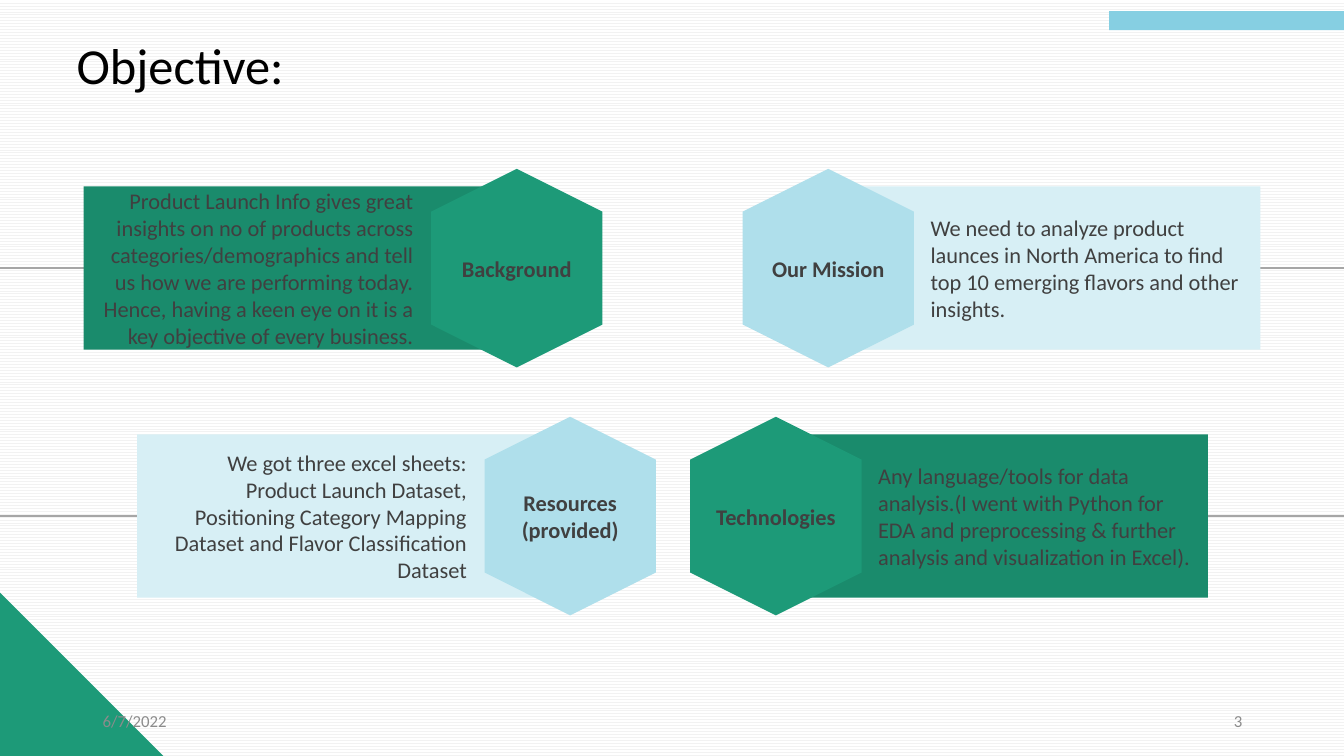
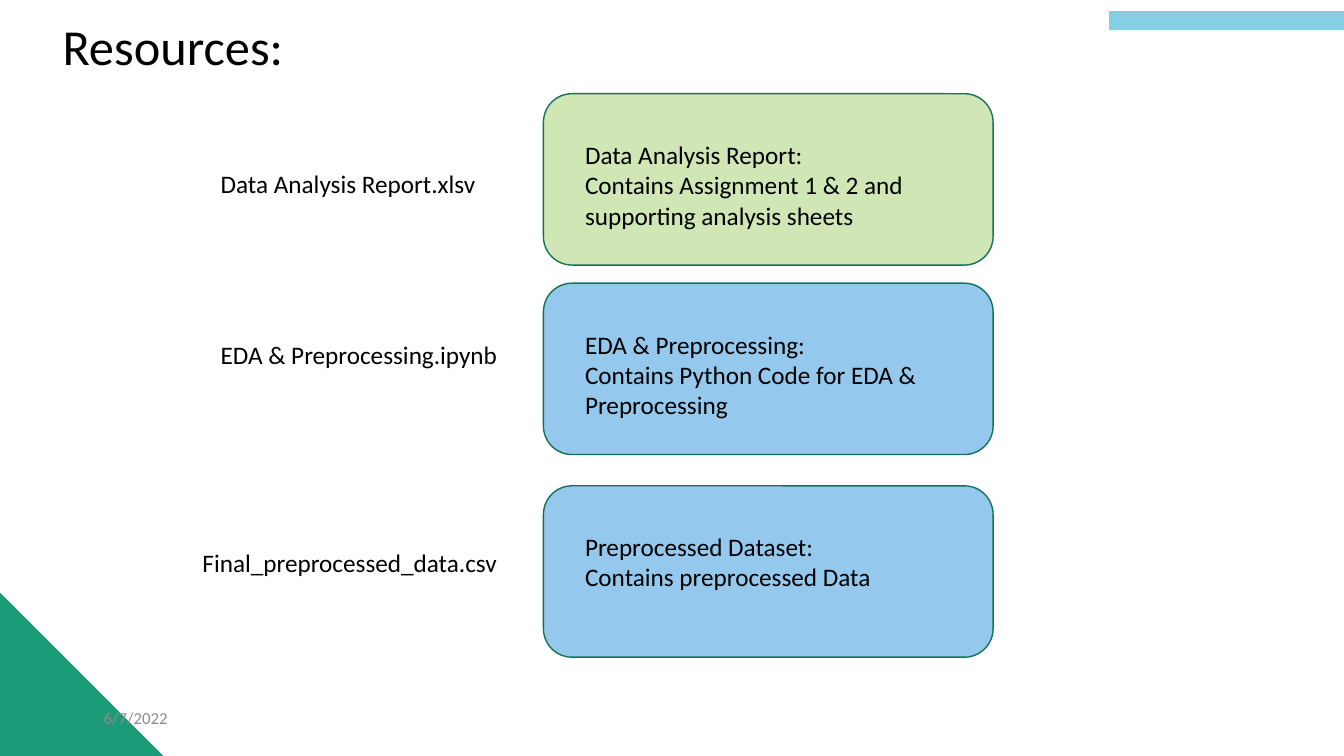
from dataclasses import dataclass

from lxml.etree import SubElement
from pptx import Presentation
from pptx.dml.color import RGBColor
from pptx.enum.dml import MSO_PATTERN
from pptx.enum.shapes import MSO_CONNECTOR, MSO_SHAPE
from pptx.enum.text import MSO_ANCHOR, PP_ALIGN
from pptx.oxml.ns import qn
from pptx.util import Pt

PX = 9144
WIDTH, HEIGHT = 1333, 750
CARD_W, CARD_H = 429, 162
HEX_LONG, HEX_SHORT = 197, 170


@dataclass(frozen=True)
class Theme:
    font: str = "Calibri"
    title_size: int = 36
    file_size: int = 18
    card_size: int = 16
    footer_size: int = 12
    black: str = "000000"
    white: str = "FFFFFF"
    ink: str = "404040"
    footer: str = "8C8C8C"
    rule: str = "A6A6A6"
    stripe: str = "F2F2F2"
    green: str = "1D9A78"
    deep_green: str = "1A8B6C"
    outline: str = "157259"
    sky: str = "86CFE2"
    pale_blue: str = "AFDFEB"
    ice: str = "D7EFF5"
    lime: str = "D1E6B5"
    blue: str = "94C8ED"


def rgb(value):
    return RGBColor.from_string(value)


class Deck:
    """Holds the style and the current slide, and draws each kind of element."""

    def __init__(self, theme):
        self.theme = theme
        self.prs = Presentation()
        self.prs.slide_width, self.prs.slide_height = WIDTH * PX, HEIGHT * PX
        self.s = None

    def slide(self, title, title_box, date_at, number=None, striped=False):
        t = self.theme
        self.s = self.prs.slides.add_slide(self.prs.slide_layouts[5])
        fill = self.s.background.fill
        if striped:
            fill.patterned()
            fill.pattern = MSO_PATTERN.ZIG_ZAG
            fill.fore_color.rgb, fill.back_color.rgb = rgb(t.stripe), rgb(t.white)
        else:
            fill.solid()
            fill.fore_color.rgb = rgb(t.white)
        sp = self.s.shapes.title
        sp.left, sp.top, sp.width, sp.height = (v * PX for v in title_box)
        self.set_text(sp, [title], t.title_size, t.black, insets=(0, 0, 0, 0))
        self.shape(MSO_SHAPE.RIGHT_TRIANGLE, 0, 588, 162, 162, t.green)
        self.shape(MSO_SHAPE.RECTANGLE, 1100, 11, 233, 19, t.sky)
        self.footer(*date_at, "6/7/2022")
        if number:
            self.footer(942, date_at[1], number, PP_ALIGN.RIGHT)

    def set_text(self, sp, lines, size, color, bold=False, align=PP_ALIGN.LEFT,
                 anchor=MSO_ANCHOR.TOP, insets=(10, 5, 10, 5)):
        tf = sp.text_frame
        tf.word_wrap, tf.vertical_anchor = True, anchor
        tf.margin_left, tf.margin_top, tf.margin_right, tf.margin_bottom = (
            v * PX for v in insets)
        tf.text = "\n".join(lines)
        for p in tf.paragraphs:
            p.alignment = align
            p.font.name, p.font.size, p.font.bold = self.theme.font, Pt(size), bold
            p.font.color.rgb = rgb(color)

    def text(self, x, y, w, h, text, size, color, **style):
        sp = self.s.shapes.add_textbox(x * PX, y * PX, w * PX, h * PX)
        self.set_text(sp, [text], size, color, **style)

    def footer(self, x, y, text, align=PP_ALIGN.LEFT):
        self.text(x, y, 300, 40, text, self.theme.footer_size, self.theme.footer,
                  align=align, anchor=MSO_ANCHOR.MIDDLE)

    def shape(self, kind, x, y, w, h, fill, line=None):
        sp = self.s.shapes.add_shape(kind, x * PX, y * PX, w * PX, h * PX)
        sp.shadow.inherit = False
        sp.fill.solid()
        sp.fill.fore_color.rgb = rgb(fill)
        if line:
            sp.line.color.rgb, sp.line.width = rgb(line), Pt(1)
        else:
            sp.line.fill.background()
        return sp

    def rule(self, x1, x2, y):
        line = self.s.shapes.add_connector(
            MSO_CONNECTOR.STRAIGHT, x1 * PX, y * PX, x2 * PX, y * PX)
        line.line.color.rgb, line.line.width = rgb(self.theme.rule), Pt(1)
        SubElement(line._element.spPr, qn("a:effectLst"))

    def card(self, x, mid, on_left, colors, label, body):
        t = self.theme
        band, badge = colors
        top = mid - CARD_H // 2
        edge = x + CARD_W if on_left else x
        self.rule(*((0, x) if on_left else (x + CARD_W, WIDTH)), mid)
        self.shape(MSO_SHAPE.RECTANGLE, x, top, CARD_W, CARD_H, band)
        hexagon = self.shape(MSO_SHAPE.HEXAGON, edge - HEX_LONG // 2,
                             mid - HEX_SHORT // 2, HEX_LONG, HEX_SHORT, badge)
        hexagon.rotation = 90
        style = dict(anchor=MSO_ANCHOR.MIDDLE, insets=(0, 0, 0, 0))
        self.text(edge - 75, top, 151, CARD_H, label, t.card_size, t.ink,
                  bold=True, align=PP_ALIGN.CENTER, **style)
        self.text(x + (17 if on_left else 102), top, 310, CARD_H, body, t.card_size,
                  t.ink, align=PP_ALIGN.RIGHT if on_left else PP_ALIGN.LEFT, **style)

    def resource(self, y, fill, lines, file_at, file_name):
        t = self.theme
        sp = self.shape(MSO_SHAPE.ROUNDED_RECTANGLE, 539, y, 446, 170, fill, t.outline)
        self.set_text(sp, lines, t.file_size, t.black, insets=(33, 37, 12, 5))
        self.text(*file_at, 319, 40, file_name, t.file_size, t.black)


def main():
    t = Theme()
    deck = Deck(t)
    dark, light = (t.deep_green, t.green), (t.ice, t.pale_blue)

    deck.slide("Objective:", (76, 34, 1182, 61), (92, 695), "3", striped=True)
    for card in (
        (83, 266, True, dark, "Background",
         "Product Launch Info gives great insights on no of products across "
         "categories/demographics and tell us how we are performing today. "
         "Hence, having a keen eye on it is a key objective of every business."),
        (821, 266, False, light, "Our Mission",
         "We need to analyze product launces in North America to find top 10 "
         "emerging flavors and other insights."),
        (136, 512, True, light, "Resources (provided)",
         "We got three excel sheets: Product Launch Dataset, Positioning Category "
         "Mapping Dataset and Flavor Classification Dataset"),
        (769, 512, False, dark, "Technologies",
         "Any language/tools for data analysis.(I went with Python for EDA and "
         "preprocessing & further analysis and visualization in Excel)."),
    ):
        deck.card(*card)

    deck.slide("Resources:", (62, 15, 968, 61), (93, 692))
    for resource in (
        (93, t.lime, ["Data Analysis Report:",
                      "Contains Assignment 1 & 2 and supporting analysis sheets"],
         (209, 162), "Data Analysis Report.xlsv"),
        (281, t.blue, ["EDA & Preprocessing:",
                       "Contains Python Code for EDA & Preprocessing"],
         (209, 332), "EDA & Preprocessing.ipynb"),
        (482, t.blue, ["Preprocessed Dataset:", "Contains preprocessed Data"],
         (191, 538), "Final_preprocessed_data.csv"),
    ):
        deck.resource(*resource)

    deck.prs.save("out.pptx")


if __name__ == "__main__":
    main()
